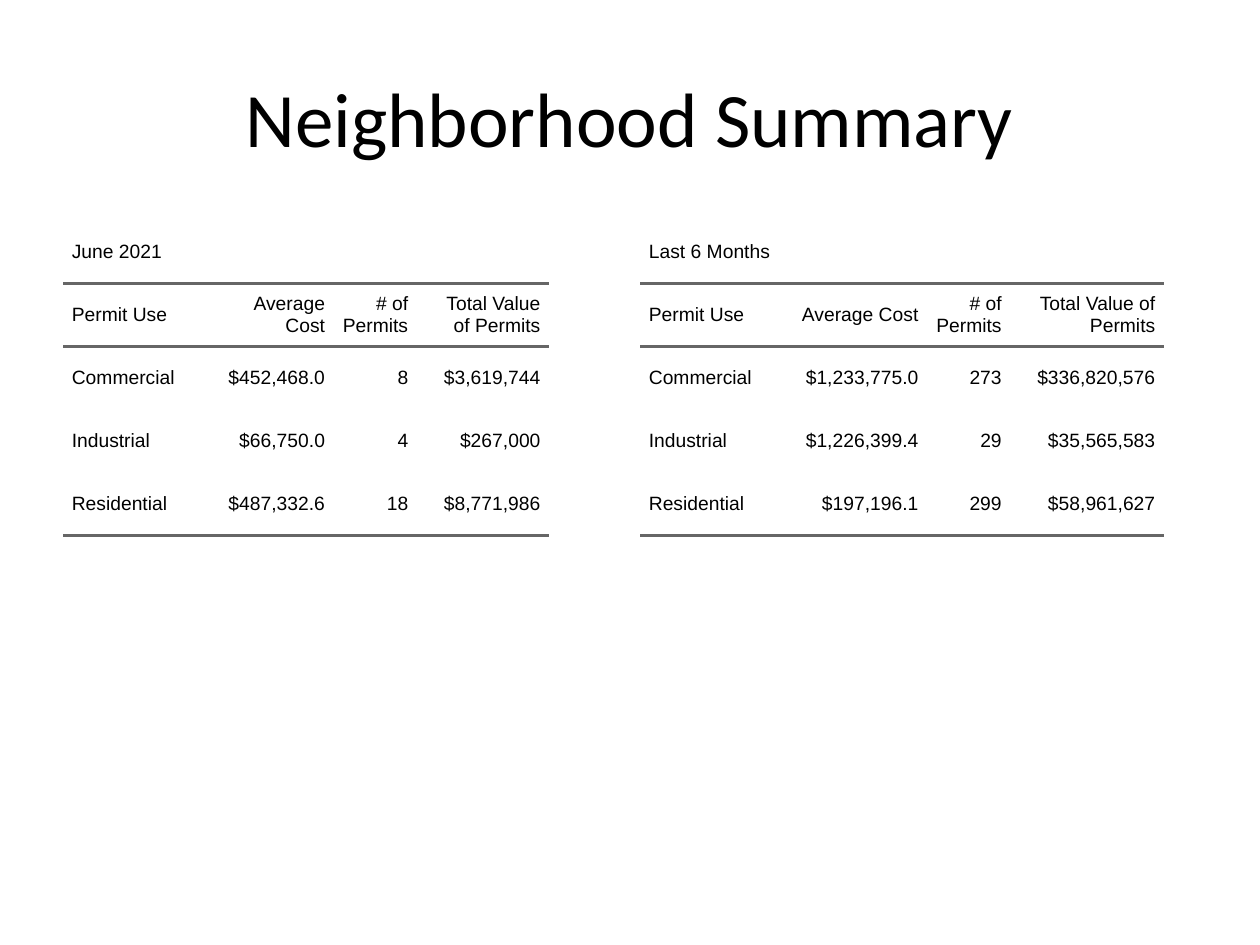
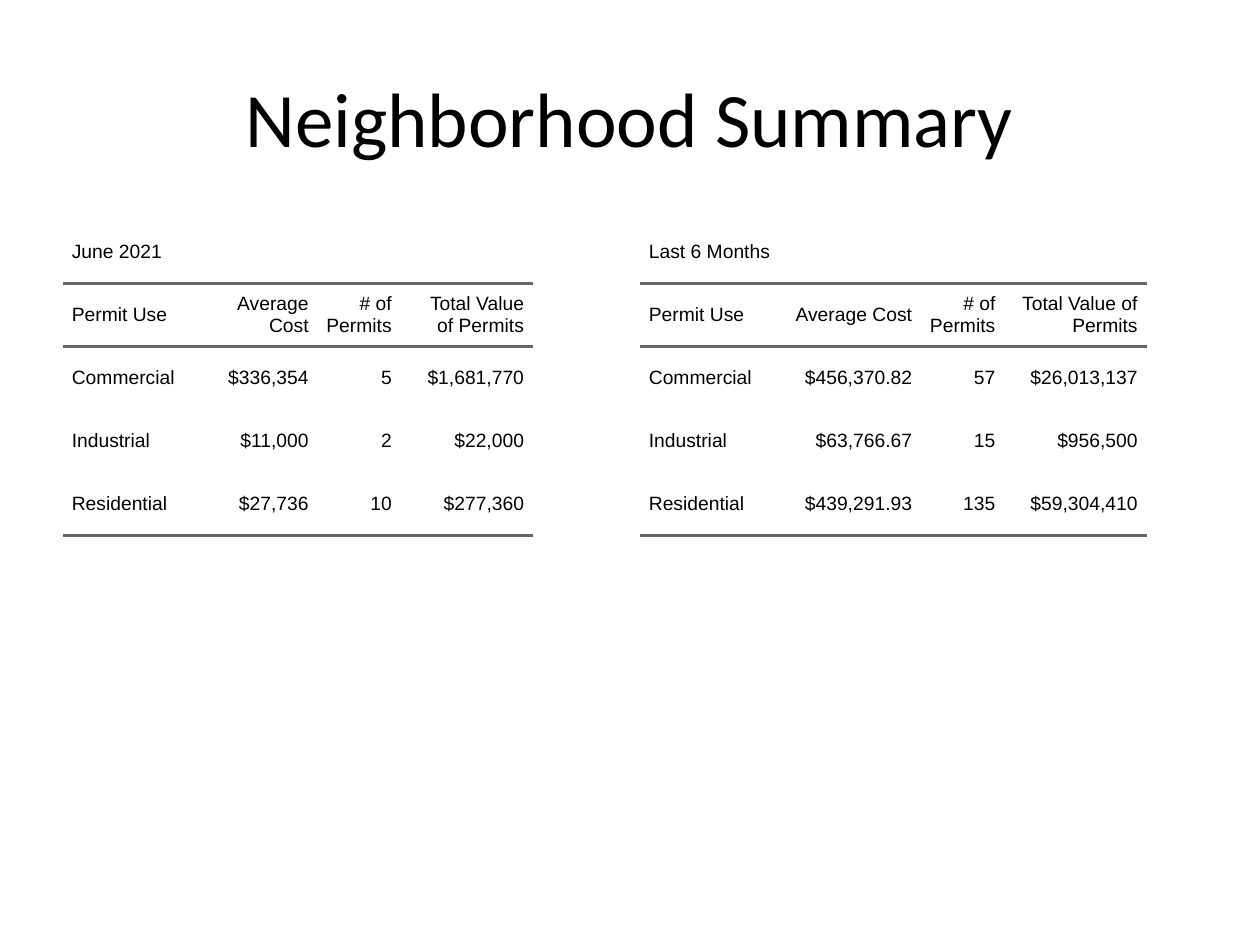
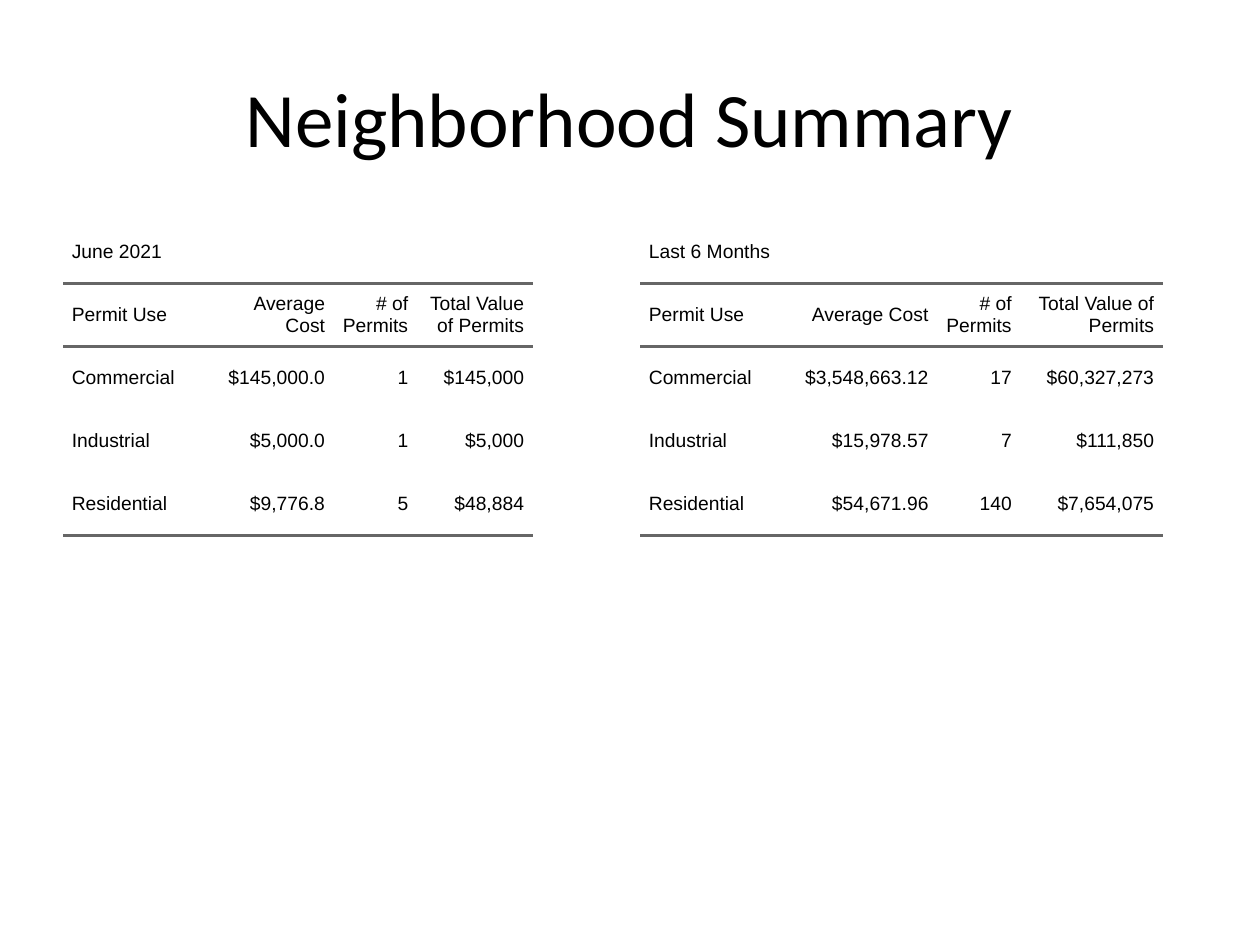
from lxml.etree import SubElement as Sub
from pptx import Presentation as Deck
from pptx.dml.color import RGBColor as Rgb
from pptx.enum.text import MSO_ANCHOR as Anchor, PP_ALIGN as Align
from pptx.oxml.ns import qn
from pptx.util import Inches, Pt

BLACK = Rgb(0x00, 0x00, 0x00)
GREY = Rgb(0x66, 0x66, 0x66)
COLS, ROWS = 100, 75
USES = ["Commercial", "Industrial", "Residential"]
HEAD = ["Permit Use", "Average Cost", "# of Permits", "Total Value of Permits"]
RULES = (1, 2, 5)
MONTH = ("June 2021", 5)
HALF = ("Last 6 Months", 50.8)
AREAS = [
    [
        (MONTH, [11, 10.5, 6.6, 10.5], [
            ("$452,468.0", "8", "$3,619,744"),
            ("$66,750.0", "4", "$267,000"),
            ("$487,332.6", "18", "$8,771,986")]),
        (HALF, [11, 11.8, 6.6, 12.2], [
            ("$1,233,775.0", "273", "$336,820,576"),
            ("$1,226,399.4", "29", "$35,565,583"),
            ("$197,196.1", "299", "$58,961,627")]),
    ],
    [
        (MONTH, [11, 9.2, 6.6, 10.5], [
            ("$336,354", "5", "$1,681,770"),
            ("$11,000", "2", "$22,000"),
            ("$27,736", "10", "$277,360")]),
        (HALF, [11, 11.3, 6.6, 11.3], [
            ("$456,370.82", "57", "$26,013,137"),
            ("$63,766.67", "15", "$956,500"),
            ("$439,291.93", "135", "$59,304,410")]),
    ],
    [
        (MONTH, [11, 10.5, 6.6, 9.2], [
            ("$145,000.0", "1", "$145,000"),
            ("$5,000.0", "1", "$5,000"),
            ("$9,776.8", "5", "$48,884")]),
        (HALF, [11, 12.6, 6.6, 11.3], [
            ("$3,548,663.12", "17", "$60,327,273"),
            ("$15,978.57", "7", "$111,850"),
            ("$54,671.96", "140", "$7,654,075")]),
    ],
]


class Page:
    def __init__(self, deck):
        self.deck = deck
        self.slide = None

    def add(self):
        self.slide = self.deck.slides.add_slide(self.deck.slide_layouts[6])

    def wide(self, cols):
        return round(self.deck.slide_width * cols / COLS)

    def high(self, rows):
        return round(self.deck.slide_height * rows / ROWS)

    def label(self, frame, text, face, size, align):
        para = frame.paragraphs[0]
        para.text = text
        para.alignment = align
        font = para.font
        font.name, font.size, font.color.rgb = face, Pt(size), BLACK

    def title(self, text):
        box = self.slide.shapes.add_textbox(
            self.wide(5), self.high(3), self.wide(90), self.high(12.5))
        frame = box.text_frame
        frame.word_wrap = True
        frame.vertical_anchor = Anchor.MIDDLE
        self.label(frame, text, "Calibri", 44, Align.CENTER)

    def edge(self, cell, side, shown):
        line = Sub(cell._tc.get_or_add_tcPr(), qn("a:ln" + side))
        if shown:
            line.set("w", str(Pt(2)))
            fill = Sub(line, qn("a:solidFill"))
            Sub(fill, qn("a:srgbClr")).set("val", str(GREY))
        else:
            Sub(line, qn("a:noFill"))

    def cell(self, cell, row, col, text):
        for side, shown in (("L", False), ("R", False),
                            ("T", row in RULES), ("B", row + 1 in RULES)):
            self.edge(cell, side, shown)
        cell.fill.background()
        cell.margin_left = cell.margin_right = Inches(0.07)
        cell.margin_top = cell.margin_bottom = 0
        cell.vertical_anchor = Anchor.MIDDLE
        if text:
            align = Align.RIGHT if col else Align.LEFT
            self.label(cell.text_frame, text, "Arial", 11, align)

    def table(self, name, left, widths, data):
        cells = [[name, "", "", ""], HEAD]
        cells += [[use, *vals] for use, vals in zip(USES, data)]
        grid = self.slide.shapes.add_table(
            len(cells), len(HEAD), self.wide(left), self.high(17.5),
            self.wide(sum(widths)), self.high(5 * len(cells))).table
        grid.first_row = grid.horz_banding = False
        for col, width in zip(grid.columns, widths):
            col.width = self.wide(width)
        for row, texts in enumerate(cells):
            for col, text in enumerate(texts):
                self.cell(grid.cell(row, col), row, col, text)
        grid.cell(0, 0).merge(grid.cell(0, len(HEAD) - 1))


def main():
    deck = Deck()
    deck.slide_width, deck.slide_height = Inches(10), Inches(7.5)
    page = Page(deck)
    for area in AREAS:
        page.add()
        for (name, left), widths, data in area:
            page.table(name, left, widths, data)
        page.title("Neighborhood Summary")
    deck.save("out.pptx")


if __name__ == "__main__":
    main()
